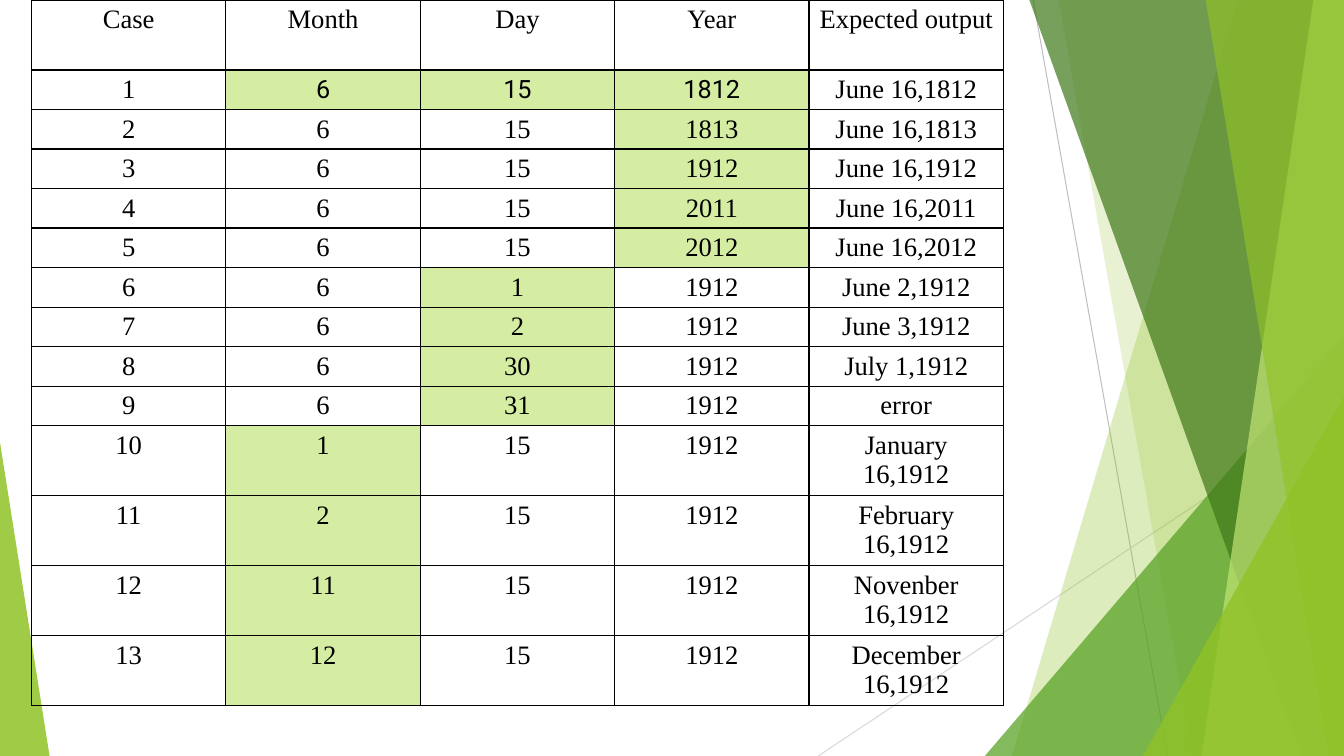
import pptx
import pptx.dml.color
import pptx.enum.shapes
import pptx.enum.text
import pptx.oxml
import pptx.oxml.ns
import pptx.util

Pt = pptx.util.Pt
RGB = pptx.dml.color.RGBColor.from_string
SHAPES = pptx.enum.shapes.MSO_SHAPE
NS = pptx.oxml.ns.nsdecls("a")
COLORS = {
    "black": "000000", "highlight": "D5EDA2", "lime": "90C226",
    "green": "54A021", "forest": "3F7819", "pale": "C0E474",
    "gray": "BFBFBF", "light_gray": "D9D9D9",
}
WIDTH, HEIGHT = 960, 540


def write(cell, text, size=19, font="Times New Roman", color="black"):
    p = cell.text_frame.paragraphs[0]
    p.alignment = pptx.enum.text.PP_ALIGN.CENTER
    r = p.add_run()
    r.text = text
    r.font.size = Pt(size)
    r.font.name = font
    r.font.color.rgb = RGB(COLORS[color])


prs = pptx.Presentation()
prs.slide_width, prs.slide_height = Pt(WIDTH), Pt(HEIGHT)
s = prs.slides.add_slide(prs.slide_layouts[6])

# Thin background lines
for x1, y1, x2, y2, color in [
    (738, 0, 834, 540, "gray"),
    (960, 290, 584.5, 540, "light_gray"),
]:
    line = s.shapes.add_connector(
        pptx.enum.shapes.MSO_CONNECTOR.STRAIGHT, Pt(x1), Pt(y1), Pt(x2), Pt(y2))
    line.line.color.rgb = RGB(COLORS[color])
    line.line.width = Pt(0.75)
    line._element.spPr.append(pptx.oxml.parse_xml(f"<a:effectLst {NS}/>"))

# Blades run to the right edge: (top x, bottom x).
# Triangles stand on the bottom edge: (left, top, width, apex).
facets = [
    ("lime", 30, (884.2, 722.9)),
    ("lime", 20, (756, 851.8)),
    ("green", 72, (703.5, 239.8, 256.5, 1)),
    ("forest", 70, (735.1, 929.5)),
    ("pale", 70, (938.2, 858.2)),
    ("lime", 65, (861.1, 949)),
    ("lime", 80, (816.5, 283, 143.5, 1)),
    ("lime", 85, (0, 316, 35.4, 0)),
]
for color, opacity, geometry in facets:
    if len(geometry) == 2:
        top_x, bottom_x = geometry
        blade = s.shapes.build_freeform(Pt(top_x), Pt(-0.6))
        blade.add_line_segments([
            (Pt(WIDTH), Pt(-0.6)), (Pt(WIDTH), Pt(HEIGHT)), (Pt(bottom_x), Pt(HEIGHT))])
        sp = blade.convert_to_shape()
    else:
        left, top, width, apex = geometry
        sp = s.shapes.add_shape(
            SHAPES.ISOSCELES_TRIANGLE, Pt(left), Pt(top), Pt(width), Pt(HEIGHT - top))
        sp.adjustments[0] = apex
    sp.shadow.inherit = False
    sp.line.fill.background()
    sp.fill.solid()
    sp.fill.fore_color.rgb = RGB(COLORS[color])
    sp._element.spPr.find(".//" + pptx.oxml.ns.qn("a:srgbClr")).append(
        pptx.oxml.parse_xml(f'<a:alpha {NS} val="{opacity * 1000}"/>'))

# Test case table
header = ("Case", "Month", "Day", "Year", "Expected output")
cases = [
    (6, 15, 1812, "June 16,1812"),
    (6, 15, 1813, "June 16,1813"),
    (6, 15, 1912, "June 16,1912"),
    (6, 15, 2011, "June 16,2011"),
    (6, 15, 2012, "June 16,2012"),
    (6, 1, 1912, "June 2,1912"),
    (6, 2, 1912, "June 3,1912"),
    (6, 30, 1912, "July 1,1912"),
    (6, 31, 1912, "error"),
    (1, 15, 1912, "January 16,1912"),
    (2, 15, 1912, "February 16,1912"),
    (11, 15, 1912, "Novenber 16,1912"),
    (12, 15, 1912, "December 16,1912"),
]
rows = [header] + [(i, *case) for i, case in enumerate(cases, 1)]
heights = [50] + [28.25] * 9 + [50] * 4
col_width = 138.85
table = s.shapes.add_table(
    len(rows), len(header), Pt(22.5), Pt(0),
    Pt(col_width * len(header)), Pt(sum(heights))).table
table.first_row = table.horz_banding = False
for col in table.columns:
    col.width = Pt(col_width)

for i, values in enumerate(rows):
    table.rows[i].height = Pt(heights[i])
    if i == 0:
        varied = ()
    elif i == 1:
        varied = (1, 2, 3)
    else:
        varied = (3,) if i <= 5 else (2,) if i <= 9 else (1,)
    for j, value in enumerate(values):
        cell = table.cell(i, j)
        cell.margin_top, cell.margin_bottom = Pt(3.6), Pt(2)
        nominal = {"size": 18, "font": "Roboto"} if i == 1 and j in varied else {}
        write(cell, str(value), **nominal)
        tcPr = cell._tc.get_or_add_tcPr()
        for side in ("lnL", "lnR", "lnT", "lnB"):
            tcPr.append(pptx.oxml.parse_xml(
                f'<a:{side} {NS} w="{Pt(1)}"><a:solidFill>'
                f'<a:srgbClr val="{COLORS["black"]}"/></a:solidFill></a:{side}>'))
        if j in varied:
            cell.fill.solid()
            cell.fill.fore_color.rgb = RGB(COLORS["highlight"])
        else:
            cell.fill.background()

prs.save("out.pptx")
